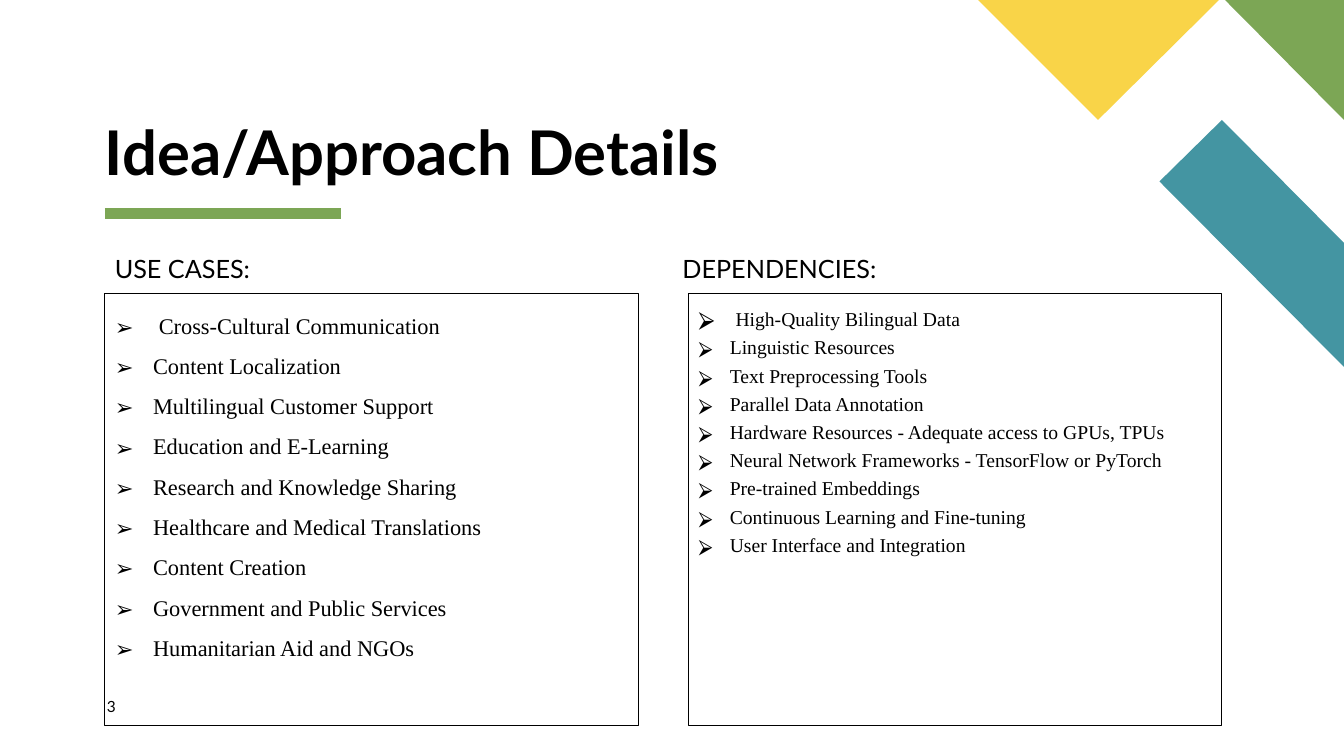
from lxml import etree
from pptx import Presentation
from pptx.dml.color import RGBColor
from pptx.enum.shapes import MSO_CONNECTOR, MSO_SHAPE
from pptx.enum.text import MSO_ANCHOR, PP_ALIGN
from pptx.oxml.ns import qn
from pptx.util import Inches, Pt

STRAIGHT = MSO_CONNECTOR.STRAIGHT
RECTANGLE = MSO_SHAPE.RECTANGLE
TOP, BOTTOM = MSO_ANCHOR.TOP, MSO_ANCHOR.BOTTOM
LEFT = PP_ALIGN.LEFT

BLACK = RGBColor(0x00, 0x00, 0x00)
GREEN = RGBColor(0x7C, 0xA6, 0x55)
TEAL = RGBColor(0x44, 0x95, 0xA2)
YELLOW = RGBColor(0xF9, 0xD4, 0x48)

HEADING_FONT = "Lato"
LIST_FONT = "Times New Roman"
BULLET_FONT = "Noto Sans Symbols"

# Corner decoration: fill and outline points in inches
CORNER_SHAPES = [
    (TEAL, [(13.33, 3.64), (13.33, 2.41), (12.12, 1.19), (11.5, 1.8)]),
    (GREEN, [(13.33, 1.19), (13.33, 0), (12.15, 0)]),
    (YELLOW, [(9.7, 0), (10.89, 1.19), (12.09, 0)]),
]

USE_CASES = [
    "Cross-Cultural Communication",
    "Content Localization",
    "Multilingual Customer Support",
    "Education and E-Learning",
    "Research and Knowledge Sharing",
    "Healthcare and Medical Translations",
    "Content Creation",
    "Government and Public Services",
    "Humanitarian Aid and NGOs",
]
DEPENDENCIES = [
    "High-Quality Bilingual Data",
    "Linguistic Resources",
    "Text Preprocessing Tools",
    "Parallel Data Annotation",
    "Hardware Resources - Adequate access to GPUs, TPUs",
    "Neural Network Frameworks - TensorFlow or PyTorch",
    "Pre-trained Embeddings",
    "Continuous Learning and Fine-tuning",
    "User Interface and Integration",
]


def format_run(run, font, size, bold=False):
    run.font.name = font
    run.font.size = Pt(size)
    run.font.bold = bold
    run.font.color.rgb = BLACK


def add_corner_shape(slide, color, points):
    corners = [(Inches(x), Inches(y)) for x, y in points]
    builder = slide.shapes.build_freeform(*corners[0])
    builder.add_line_segments(corners[1:], close=True)
    corner = builder.convert_to_shape()
    corner.fill.solid()
    corner.fill.fore_color.rgb = color
    corner.line.fill.background()
    corner.shadow.inherit = False


def add_rule(slide, left, right, y):
    rule = slide.shapes.add_connector(
        STRAIGHT, Inches(left), Inches(y), Inches(right), Inches(y))
    rule.line.color.rgb = GREEN
    rule.line.width = Pt(8)
    etree.SubElement(rule._element.spPr, qn("a:effectLst"))


def add_label(slide, text, box, size, bold=False, inset=(0, 0),
              anchor=TOP, line_spacing=1.0):
    label = slide.shapes.add_textbox(*map(Inches, box))
    frame = label.text_frame
    frame.word_wrap = True
    frame.vertical_anchor = anchor
    frame.margin_left = frame.margin_right = Inches(inset[0])
    frame.margin_top = frame.margin_bottom = Inches(inset[1])
    frame.text = text
    paragraph = frame.paragraphs[0]
    paragraph.line_spacing = line_spacing
    format_run(paragraph.runs[0], HEADING_FONT, size, bold)


def set_bullet(paragraph, symbol, indent):
    props = paragraph._p.get_or_add_pPr()
    props.set("marL", str(Inches(indent)))
    props.set("indent", str(-Inches(indent)))
    color = etree.SubElement(props, qn("a:buClr"))
    etree.SubElement(color, qn("a:srgbClr"), val=str(BLACK))
    etree.SubElement(props, qn("a:buFont"), typeface=BULLET_FONT)
    etree.SubElement(props, qn("a:buChar"), char=symbol)


def add_list_box(slide, items, left, symbol, size, indent, line_spacing):
    panel = slide.shapes.add_shape(
        RECTANGLE, Inches(left), Inches(2.91), Inches(5.29), Inches(4.29))
    panel.fill.background()
    panel.line.color.rgb = BLACK
    panel.line.width = Pt(0.75)
    panel.shadow.inherit = False
    frame = panel.text_frame
    frame.word_wrap = True
    frame.vertical_anchor = TOP
    for index, item in enumerate(items):
        paragraph = frame.paragraphs[0] if index == 0 else frame.add_paragraph()
        paragraph.alignment = LEFT
        paragraph.line_spacing = line_spacing
        set_bullet(paragraph, symbol, indent)
        if index == 0:  # the first item opens with a wider space
            lead = paragraph.add_run()
            lead.text = " "
            format_run(lead, HEADING_FONT, 16)
        entry = paragraph.add_run()
        entry.text = item
        format_run(entry, LIST_FONT, size)


def main():
    prs = Presentation()
    prs.slide_width, prs.slide_height = Inches(13.33), Inches(7.5)
    slide = prs.slides.add_slide(prs.slide_layouts[6])

    # Decoration
    add_rule(slide, 1.04, 3.38, 2.12)
    for color, points in CORNER_SHAPES:
        add_corner_shape(slide, color, points)

    # Title
    add_label(slide, "Idea/Approach Details", (1.04, 1.2, 6.32, 0.67), 44,
              bold=True, anchor=BOTTOM, line_spacing=0.9)

    # Use cases
    add_label(slide, "USE CASES:", (1.04, 2.5, 5.29, 0.35), 18,
              inset=(0.1, 0.05), line_spacing=0.9)
    add_list_box(slide, USE_CASES, 1.04, "➢", 16, 0.38, 1.5)

    # Page number
    add_label(slide, "3", (1.06, 6.92, 0.57, 0.27), 11)

    # Dependencies
    add_label(slide, "DEPENDENCIES:", (6.67, 2.5, 5.62, 0.35), 18,
              inset=(0.1, 0.05), line_spacing=0.9)
    add_list_box(slide, DEPENDENCIES, 6.83, "⮚", 14, 0.31, 1.2)

    prs.save("out.pptx")


if __name__ == "__main__":
    main()
